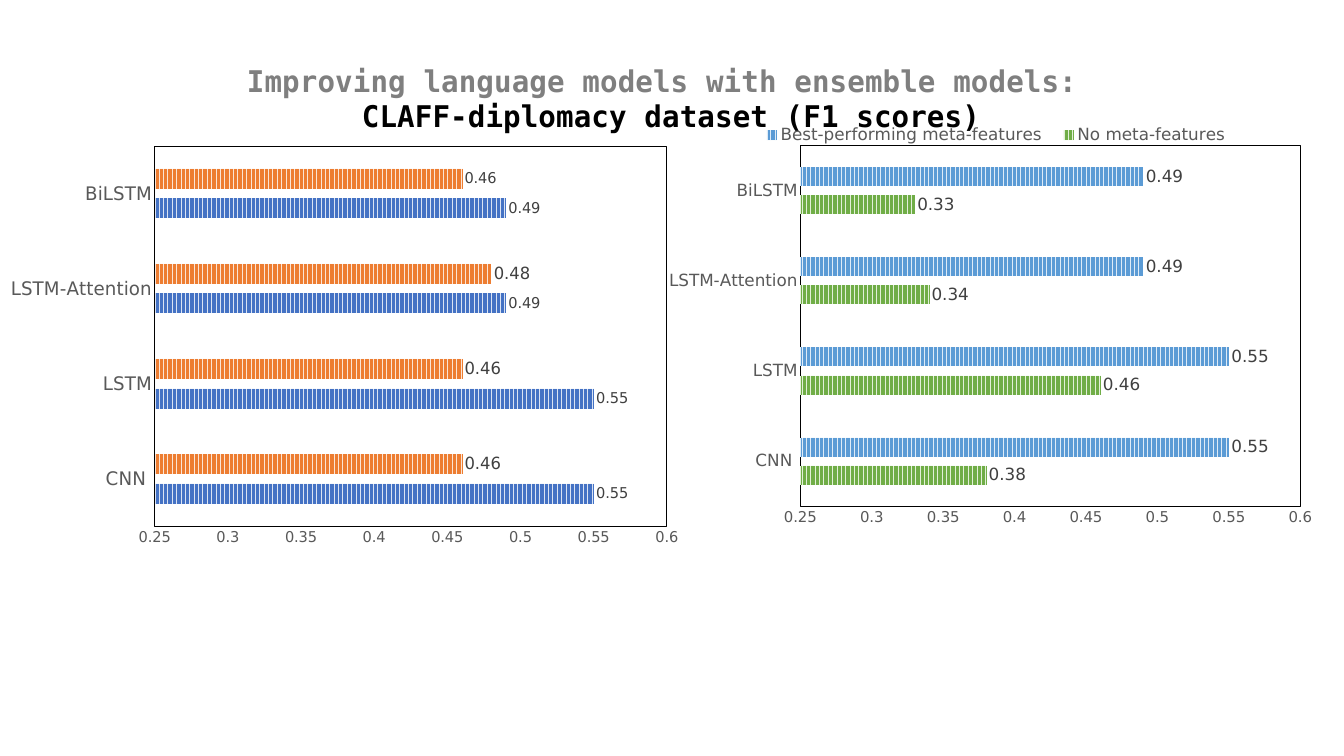
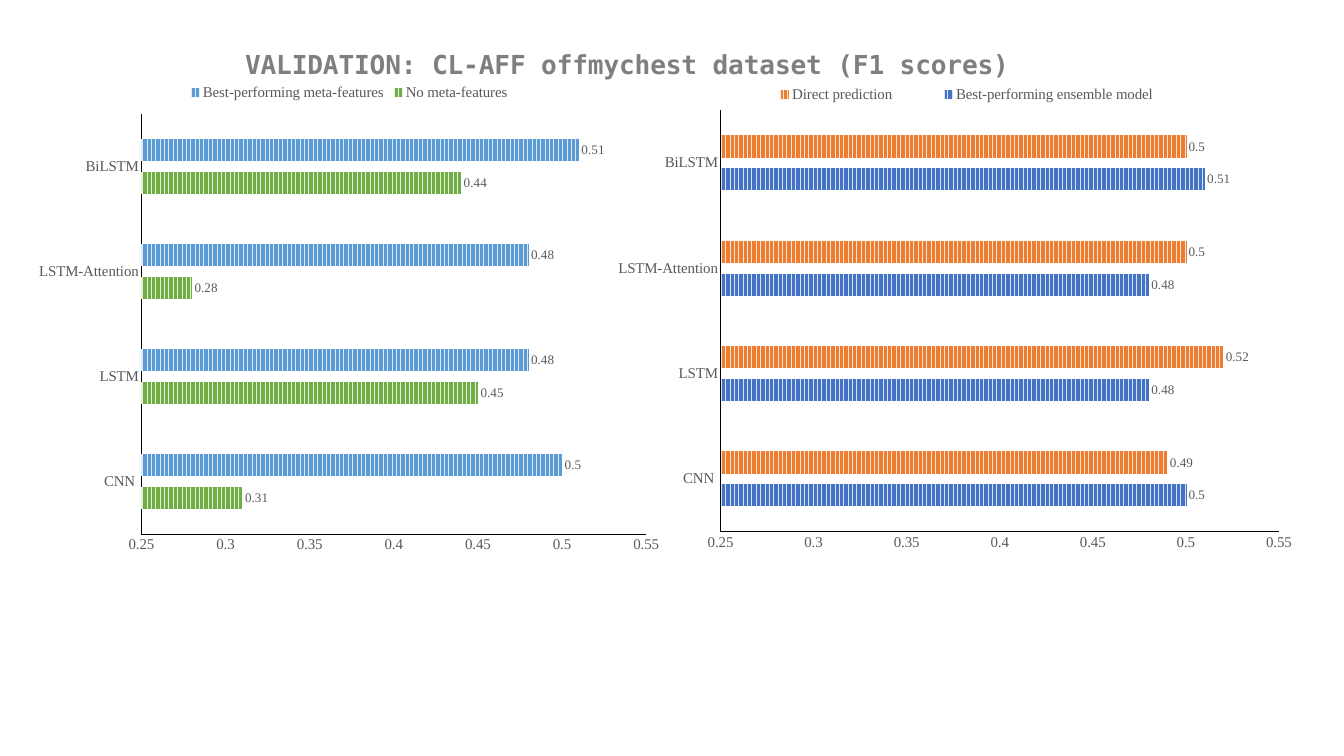
from lxml import etree
from pptx import Presentation
from pptx.chart.data import CategoryChartData
from pptx.dml.color import RGBColor
from pptx.enum.chart import (XL_CHART_TYPE, XL_LABEL_POSITION, XL_LEGEND_POSITION,
                             XL_TICK_MARK)
from pptx.enum.dml import MSO_PATTERN
from pptx.oxml.ns import qn
from pptx.util import Inches, Pt

BAR = XL_CHART_TYPE.BAR_CLUSTERED
OUTSIDE = XL_LABEL_POSITION.OUTSIDE_END
TOP = XL_LEGEND_POSITION.TOP
NO_TICK = XL_TICK_MARK.NONE
STRIPES = MSO_PATTERN.NARROW_VERTICAL

# Shared look
SANS, MONO, SERIF = "DejaVu Sans", "DejaVu Sans Mono", "Times New Roman"
BLACK, GREY, AXIS_GREY, LABEL_GREY = "000000", "7F7F7F", "595959", "404040"
SERIES_COLORS = {
    "Best-performing ensemble model": ("4472C4", "DAE3F3"),
    "Direct prediction": ("ED7D31", "FBE5D6"),
    "No meta-features": ("70AD47", "E2F0D9"),
    "Best-performing meta-features": ("5B9BD5", "DEEBF7"),
}
MODELS = ["CNN ", "LSTM", "LSTM-Attention", "BiLSTM"]

# Styles: fonts and sizes per slide
FRAMED = dict(font=SANS, value_size=16, label_color=LABEL_GREY, framed=True)
OPEN = dict(font=SERIF, value_size=16, label_color=AXIS_GREY, framed=False,
            category_size=16, legend_size=16, label_sizes=(14, 14))

# Content: one list of charts per slide; layouts are fractions of the chart
SLIDES = [
    [
        dict(FRAMED, at=(0.16, 0.59, 19.37, 10.47), maximum=0.6,
             category_size=20, label_sizes=(16, 18), point_size=(1, 3, 16),
             plot=(0.089, 0.151, 0.403, 0.541),
             title=[("Improving language models with ensemble models: ", GREY),
                    ("CLAFF-diplomacy dataset (F1 scores)", BLACK)],
             title_size=32, title_at=(0.16, 0.03),
             series=[("Best-performing ensemble model", (0.55, 0.55, 0.49, 0.49)),
                     ("Direct prediction", (0.46, 0.46, 0.48, 0.46))]),
        dict(FRAMED, at=(9.57, 1.85, 10, 6.46), maximum=0.6,
             category_size=18, label_sizes=(18, 18), legend_size=18,
             plot=(0.234, 0.049, 0.744, 0.831), legend=(0.16, 0, 0.73, 0.05),
             series=[("No meta-features", (0.38, 0.46, 0.34, 0.33)),
                     ("Best-performing meta-features", (0.55, 0.55, 0.49, 0.49))]),
    ],
    [
        dict(OPEN, at=(0.24, 0.27, 19.06, 10.63), maximum=0.55,
             plot=(0.55, 0.129, 0.436, 0.59), legend=(0.56, 0.09, 0.364, 0.035),
             title=[("VALIDATION: CL-AFF offmychest dataset (F1 scores)", GREY)],
             title_size=28, title_at=(0.175, 0.035),
             series=[("Best-performing ensemble model", (0.5, 0.48, 0.48, 0.51)),
                     ("Direct prediction", (0.49, 0.52, 0.5, 0.5))]),
        dict(OPEN, at=(0.39, 1.14, 9.61, 7.24), maximum=0.55, legend=None,
             series=[("No meta-features", (0.31, 0.45, 0.28, 0.44)),
                     ("Best-performing meta-features", (0.5, 0.48, 0.48, 0.51))]),
    ],
]


def color(value):
    return RGBColor.from_string(value)


def set_font(font, name, size, shade, bold=False):
    for key, value in dict(name=name, size=Pt(size), bold=bold).items():
        setattr(font, key, value)
    font.color.rgb = color(shade)


def set_line(line, width):
    line.color.rgb = color(BLACK)
    line.width = Pt(width)


def place(parent, index, fractions, inner=False):
    """Give a chart part a manual layout."""
    for old in parent.findall(qn("c:layout")):
        parent.remove(old)
    layout = etree.Element(qn("c:layout"))
    manual = etree.SubElement(layout, qn("c:manualLayout"))
    settings = [("layoutTarget", "inner")] if inner else []
    settings += [("xMode", "edge"), ("yMode", "edge")]
    settings += zip("xywh", fractions)
    for tag, value in settings:
        etree.SubElement(manual, qn("c:" + tag)).set("val", str(value))
    parent.insert(index, layout)


def shape_format(line_width=None):
    """Unfilled area, with a black line if a width is given."""
    area = etree.Element(qn("c:spPr"))
    etree.SubElement(area, qn("a:noFill"))
    line = etree.SubElement(area, qn("a:ln"))
    if line_width:
        line.set("w", str(Pt(line_width)))
        fill = etree.SubElement(line, qn("a:solidFill"))
        etree.SubElement(fill, qn("a:srgbClr")).set("val", BLACK)
    else:
        etree.SubElement(line, qn("a:noFill"))
    return area


def style_axes(chart, item):
    category, value = chart.category_axis, chart.value_axis
    for axis, size in ((category, item["category_size"]), (value, item["value_size"])):
        for key, setting in dict(major_tick_mark=NO_TICK, minor_tick_mark=NO_TICK,
                                 has_major_gridlines=False).items():
            setattr(axis, key, setting)
        set_font(axis.tick_labels.font, item["font"], size, AXIS_GREY)
    for key, setting in dict(minimum_scale=0.25, maximum_scale=item["maximum"],
                             major_unit=0.05).items():
        setattr(value, key, setting)
    set_line(category.format.line, 1.5)
    if item["framed"]:
        value.format.line.fill.background()
    else:
        set_line(value.format.line, 0.75)


def style_series(chart, item):
    plot = chart.plots[0]
    for key, setting in dict(gap_width=227, overlap=-48, vary_by_categories=False).items():
        setattr(plot, key, setting)
    for series, size in zip(plot.series, item["label_sizes"]):
        front, back = SERIES_COLORS[series.name]
        series.invert_if_negative = False
        fill = series.format.fill
        fill.patterned()
        fill.pattern = STRIPES
        fill.fore_color.rgb, fill.back_color.rgb = color(front), color(back)
        labels = series.data_labels
        labels.show_value, labels.position = True, OUTSIDE
        set_font(labels.font, item["font"], size, item["label_color"])
    if "point_size" in item:
        row, point, size = item["point_size"]
        label = plot.series[row].points[point].data_label
        set_font(label.font, item["font"], size, item["label_color"])
        label.position = OUTSIDE


def add_title(chart, item):
    chart.has_title = "title" in item
    if not chart.has_title:
        return
    title = chart.chart_title
    title.include_in_layout = False
    frame = title.text_frame
    for number, (text, shade) in enumerate(item["title"]):
        para = frame.add_paragraph() if number else frame.paragraphs[0]
        span = para.add_run()
        span.text = text
        set_font(span.font, MONO, item["title_size"], shade, True)
    place(title._element, 1, item["title_at"])


def add_legend(chart, item):
    chart.has_legend = "legend" in item
    if not chart.has_legend:
        return
    legend = chart.legend
    legend.position, legend.include_in_layout = TOP, False
    set_font(legend.font, item["font"], item["legend_size"], AXIS_GREY)
    if item["legend"]:
        place(legend._element, 1, item["legend"])


def add_bars(page, item):
    data = CategoryChartData()
    data.categories = MODELS
    for name, values in item["series"]:
        data.add_series(name, values)
    chart = page.shapes.add_chart(BAR, *map(Inches, item["at"]), data).chart
    set_font(chart.font, item["font"], 10, BLACK)
    style_axes(chart, item)
    style_series(chart, item)
    add_title(chart, item)
    add_legend(chart, item)
    # Clear background, optional frame and fixed plot position
    body = chart._chartSpace.find(qn("c:chart"))
    body.addnext(shape_format())
    area = body.find(qn("c:plotArea"))
    area.append(shape_format(0.75 if item["framed"] else None))
    if "plot" in item:
        place(area, 0, item["plot"], inner=True)


deck = Presentation()
deck.slide_width, deck.slide_height = Inches(20), Inches(11.25)
for charts in SLIDES:
    page = deck.slides.add_slide(deck.slide_layouts[6])
    for item in charts:
        add_bars(page, item)
deck.save("out.pptx")
